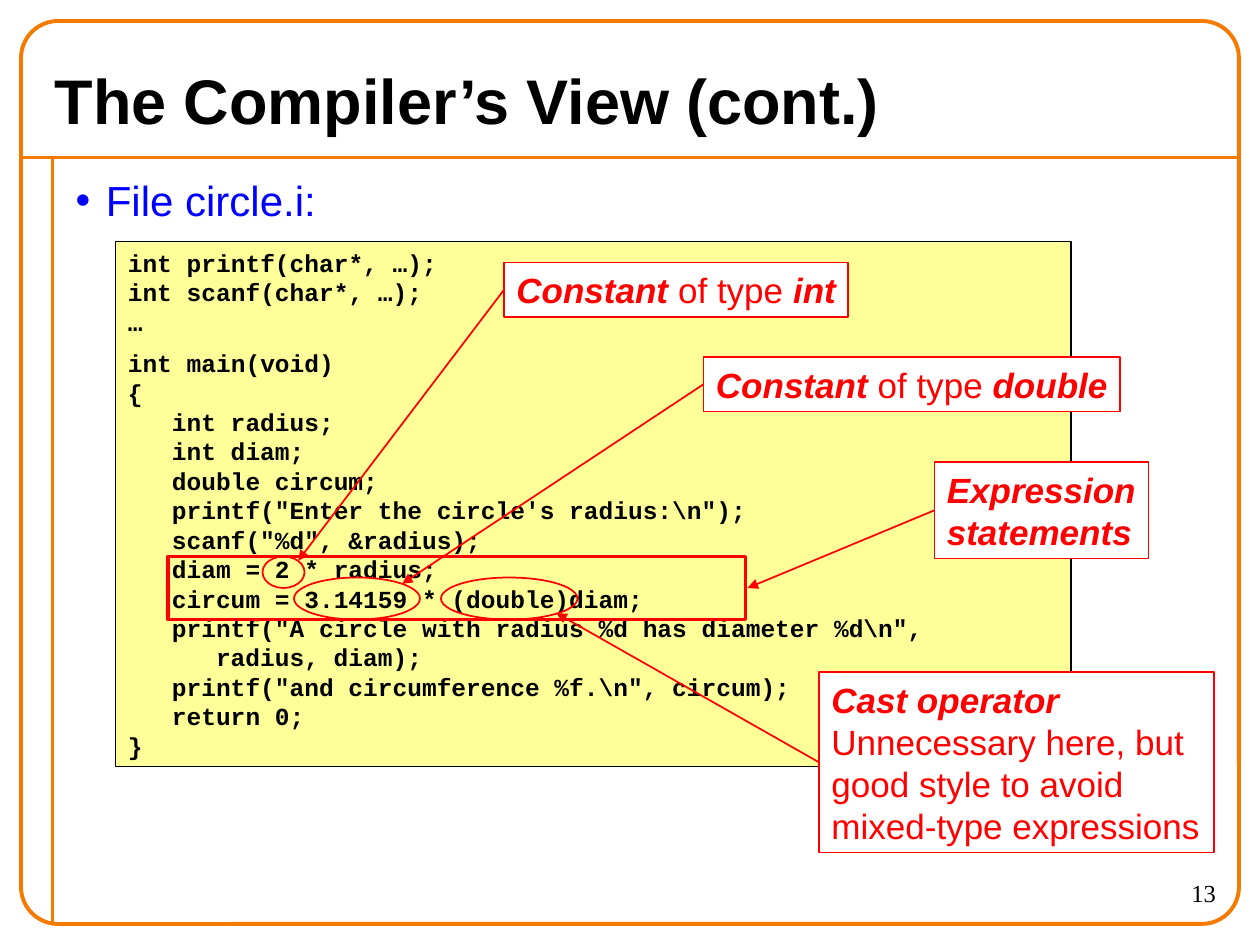
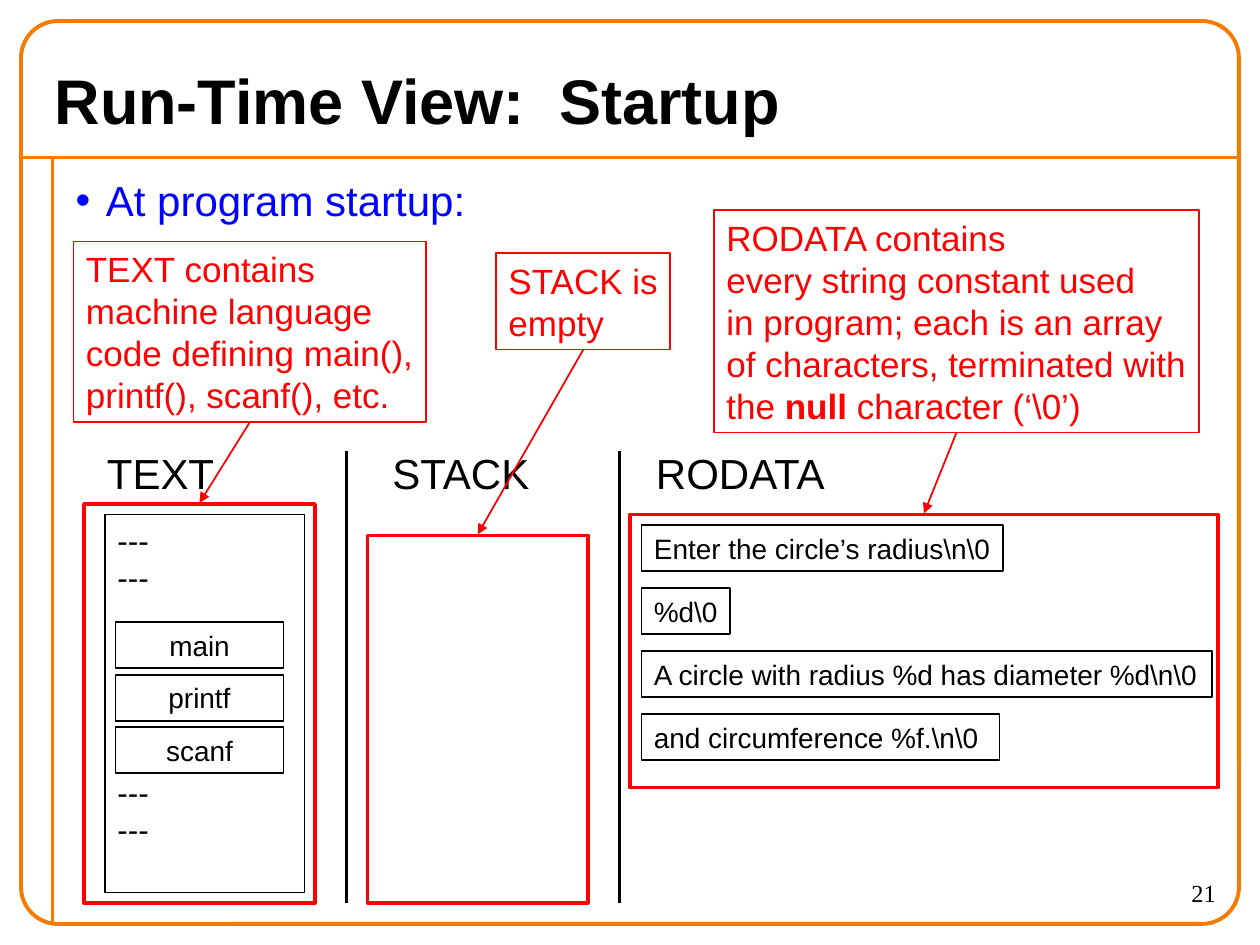
"""Builds two lecture slides: annotated compiler output and program memory at startup."""
import pptx
import pptx.util
import pptx.dml.color
import pptx.enum.shapes
import pptx.enum.text
import pptx.oxml.ns
from lxml import etree

Pt = pptx.util.Pt
SHAPE = pptx.enum.shapes.MSO_SHAPE
ALIGN = pptx.enum.text.PP_ALIGN
ANCHOR = pptx.enum.text.MSO_ANCHOR
qn = pptx.oxml.ns.qn


class Theme:
    """Colours, fonts, type sizes, line widths and the 120 by 90 cell grid."""
    orange, blue, red = "F47A00", "0000FF", "FF0000"
    black, white, yellow = "000000", "FFFFFF", "FFFF99"
    sans, mono, serif = "Arial", "Courier New", "Times New Roman"
    title, heading, callout, listing, label, code = 36, 24, 20, 18, 16, 14
    thin, thick, border = 1, 2, 2.25
    leading = 1.2
    cell = pptx.util.Inches(1 / 12)


TITLE_BOX, BODY_BOX, NUMBER_BOX = (4, 5, 112, 9), (6, 16, 111, 72), (105, 83, 12, 5)
BORDER_BOX = (2, 2, 116, 86)
BORDER_RULES = [((2, 15), (118, 15)), ((5, 15), (5, 88))]

COMPILER = {"title": "The Compiler’s View (cont.)", "bullet": "File circle.i:", "number": "13"}
CODE_BOX, CODE_GAP = (11, 23, 91, 50), 7
CODE = [
    (0, "int printf(char*, …);"),
    (0, "int scanf(char*, …);"),
    (0, "…"),
    (0, "int main(void)"),
    (0, "{"),
    (1, "int radius;"),
    (1, "int diam;"),
    (1, "double circum;"),
    (1, r'printf("Enter the circle' r"'" r's radius:\n");'),
    (1, 'scanf("%d", &radius);'),
    (1, "diam = 2 * radius;"),
    (1, "circum = 3.14159 * (double)diam;"),
    (1, r'printf("A circle with radius %d has diameter %d\n",'),
    (2, "radius, diam);"),
    (1, r'printf("and circumference %f.\n", circum);'),
    (1, "return 0;"),
    (0, "}"),
]
STATEMENTS_BOX = (16, 53, 55, 6)
MARKED_TERMS = [(42, 55, 13, 4), (28, 55, 12, 4), (25, 53, 4, 3)]
CODE_NOTES = [
    ((89, 44, 20.4), (71.2, 56), [[("Expression", "bi")], [("statements", "bi")]]),
    ((78, 64, 37.6), (53, 58.4), [[("Cast operator", "bi")], "Unnecessary here, but",
                                  "good style to avoid", "mixed-type expressions"]),
    ((67, 34, 39.7), (38.3, 55.6), [[("Constant ", "bi"), ("of type", ""), (" double", "bi")]]),
    ((48, 25, 32.8), (28.4, 53.4), [[("Constant ", "bi"), ("of type", ""), (" int", "bi")]]),
]

STARTUP = {"title": "Run-Time View:  Startup", "bullet": "At program startup:", "number": "21"}
SECTIONS = [
    {"label": "TEXT", "label_box": (9, 42, 12.6, 6), "box": (8, 48, 22, 38), "note_at": (7, 23, 33.6),
     "note": ["TEXT contains", "machine language", "code defining main(),",
              "printf(), scanf(), etc."]},
    {"label": "STACK", "label_box": (36.2, 42, 15.4, 6), "box": (35, 51, 21, 35),
     "note_at": (47.25, 24.1, 16.6), "note": ["STACK is", "empty"]},
    {"label": "RODATA", "label_box": (61.3, 42, 18.5, 6), "box": (60, 49, 56, 26),
     "note_at": (68, 20, 46.2),
     "note": ["RODATA contains", "every string constant used", "in program; each is an array",
              "of characters, terminated with",
              [("the ", ""), ("null", "b"), (r" character (‘\0’)", "")]]},
]
DIVIDERS, DIVIDER_SPAN = (33, 59), (43, 86)
MACHINE_CODE_BOX, MACHINE_CODE = (10, 49, 19, 36), ["---", "---", "---", "---"]
MACHINE_CODE_GAP = 100.8
FUNCTIONS = ["main", "printf", "scanf"]
STRINGS = [
    (r"Enter the circle’s radius\n\0", 34.4),
    (r"%d\0", 8.4),
    (r"A circle with radius %d has diameter %d\n\0", 54.3),
    (r"and circumference %f.\n\0", 34.1),
]
LABEL_HEIGHT = 4.4


def rgb(color):
    return pptx.dml.color.RGBColor.from_string(color)


def assign(target, **values):
    for key, value in values.items():
        setattr(target, key, value)


def cells(*lengths):
    return [round(length * Theme.cell) for length in lengths]


def write(frame, lines, size, color=Theme.black, font=Theme.sans, style="",
          align=ALIGN.LEFT, anchor=ANCHOR.TOP, wrap=True):
    """Fill a text frame, one paragraph a line, and return the paragraphs."""
    assign(frame, word_wrap=wrap, vertical_anchor=anchor,
           auto_size=pptx.enum.text.MSO_AUTO_SIZE.NONE)
    for index, line in enumerate(lines):
        paragraph = frame.add_paragraph() if index else frame.paragraphs[0]
        assign(paragraph, alignment=align, space_before=Pt(0),
               line_spacing=Pt(size * Theme.leading))
        for text, look in [(line, style)] if isinstance(line, str) else line:
            run = paragraph.add_run()
            run.text = text
            assign(run.font, name=font, size=Pt(size), bold="b" in look, italic="i" in look)
            run.font.color.rgb = rgb(color)
    return frame.paragraphs


def outline(shapes, box, color, width, fill=None, kind=SHAPE.RECTANGLE):
    shape = shapes.add_shape(kind, *cells(*box))
    shape.shadow.inherit = False
    if fill:
        shape.fill.solid()
        shape.fill.fore_color.rgb = rgb(fill)
    else:
        shape.fill.background()
    shape.line.color.rgb = rgb(color)
    shape.line.width = Pt(width)
    return shape


def rule(shapes, start, end, color, width, arrow=False):
    line = shapes.add_connector(pptx.enum.shapes.MSO_CONNECTOR.STRAIGHT, *cells(*start, *end))
    line.line.color.rgb = rgb(color)
    line.line.width = Pt(width)
    if arrow:
        etree.SubElement(line.get_or_add_ln(), qn("a:tailEnd"), type="triangle")
    etree.SubElement(line.element.spPr, qn("a:effectLst"))
    return line


def callout(shapes, place, target, lines, from_bottom=False):
    """Draw a note sized to its lines, with an arrow from its left or bottom middle."""
    left, top, width = place
    height = len(lines) * Theme.callout * Theme.leading / 6 + 1.2
    note = outline(shapes, (left, top, width, height), Theme.red, Theme.thin, Theme.white)
    write(note.text_frame, lines, Theme.callout, Theme.red, anchor=ANCHOR.MIDDLE, wrap=False)
    start = (left + width / 2, top + height) if from_bottom else (left, top + height / 2)
    rule(shapes, start, target, Theme.red, Theme.thin, arrow=True)


def label(shapes, box, text, align):
    tag = outline(shapes, box, Theme.black, Theme.thin)
    write(tag.text_frame, [text], Theme.label, align=align, anchor=ANCHOR.MIDDLE, wrap=False)


def prepare_template(deck, layout):
    """Place the layout's title and body and put the border on the master."""
    for holder, box in zip(layout.placeholders, (TITLE_BOX, BODY_BOX)):
        assign(holder, **dict(zip(("left", "top", "width", "height"), cells(*box))))
    return deck.slide_master.shapes.element


def add_border(slide, master_tree):
    border = [rule(slide.shapes, *ends, Theme.orange, Theme.border) for ends in BORDER_RULES]
    border.append(outline(slide.shapes, BORDER_BOX, Theme.orange, Theme.border,
                          kind=SHAPE.ROUNDED_RECTANGLE))
    border[-1].adjustments[0] = 0.041
    for index, part in enumerate(border):
        part.element.xpath(".//p:cNvPr")[0].set("id", str(100 + index))
        master_tree.insert(2 + index, part.element)


def add_page(deck, layout, content):
    slide = deck.slides.add_slide(layout)
    write(slide.shapes.title.text_frame, [content["title"]], Theme.title, style="b",
          anchor=ANCHOR.MIDDLE)
    bullet = write(slide.placeholders[1].text_frame, [content["bullet"]], Theme.heading,
                   Theme.blue)[0]
    bullet.space_before = Pt(12)
    properties = bullet._p.get_or_add_pPr()
    indent = pptx.util.Inches(0.24)
    properties.set("marL", str(indent))
    properties.set("indent", str(-indent))
    bullet_color = etree.SubElement(properties, qn("a:buClr"))
    etree.SubElement(bullet_color, qn("a:srgbClr"), val=Theme.blue)
    etree.SubElement(properties, qn("a:buChar"), char="•")
    number = slide.shapes.add_textbox(*cells(*NUMBER_BOX))
    write(number.text_frame, [content["number"]], Theme.code, font=Theme.serif,
          align=ALIGN.RIGHT)
    return slide


def fill_compiler(shapes):
    listing = outline(shapes, CODE_BOX, Theme.black, Theme.thin, Theme.yellow)
    paragraphs = write(listing.text_frame, [text for _, text in CODE], Theme.code,
                       font=Theme.mono, style="b")
    tab = Pt(3 * 0.6 * Theme.code)
    for paragraph, (level, text) in zip(paragraphs, CODE):
        paragraph._p.get_or_add_pPr().set("marL", str(level * tab))
        if text.startswith("int main"):
            paragraph.space_before = Pt(CODE_GAP)
    outline(shapes, STATEMENTS_BOX, Theme.red, Theme.thick)
    for place, target, lines in CODE_NOTES:
        callout(shapes, place, target, lines)
    for term in MARKED_TERMS:
        outline(shapes, term, Theme.red, Theme.thin, kind=SHAPE.OVAL)


def fill_startup(shapes):
    for x in DIVIDERS:
        rule(shapes, (x, DIVIDER_SPAN[0]), (x, DIVIDER_SPAN[1]), Theme.black, Theme.thick)
    for index, (text, width) in enumerate(STRINGS):
        label(shapes, (61.1, 50 + 6 * index, width, LABEL_HEIGHT), text, ALIGN.LEFT)
    program = shapes.add_group_shape().shapes
    listing = outline(program, MACHINE_CODE_BOX, Theme.black, Theme.thin)
    paragraphs = write(listing.text_frame, MACHINE_CODE, Theme.listing)
    paragraphs[2].space_before = Pt(MACHINE_CODE_GAP)
    for index, name in enumerate(FUNCTIONS):
        label(program, (11, 59.25 + 5 * index, 16, LABEL_HEIGHT), name, ALIGN.CENTER)
    for section in SECTIONS:
        heading = shapes.add_textbox(*cells(*section["label_box"]))
        write(heading.text_frame, [section["label"]], Theme.heading, wrap=False)
        left, top, width, _ = section["box"]
        outline(shapes, section["box"], Theme.red, Theme.thick)
        callout(shapes, section["note_at"], (left + width / 2, top - 0.1), section["note"],
                from_bottom=True)


def main():
    deck = pptx.Presentation()
    assign(deck, slide_width=120 * Theme.cell, slide_height=90 * Theme.cell)
    layout = deck.slide_layouts[1]
    master_tree = prepare_template(deck, layout)
    compiler = add_page(deck, layout, COMPILER)
    add_border(compiler, master_tree)
    fill_compiler(compiler.shapes)
    fill_startup(add_page(deck, layout, STARTUP).shapes)
    deck.save("out.pptx")


if __name__ == "__main__":
    main()
